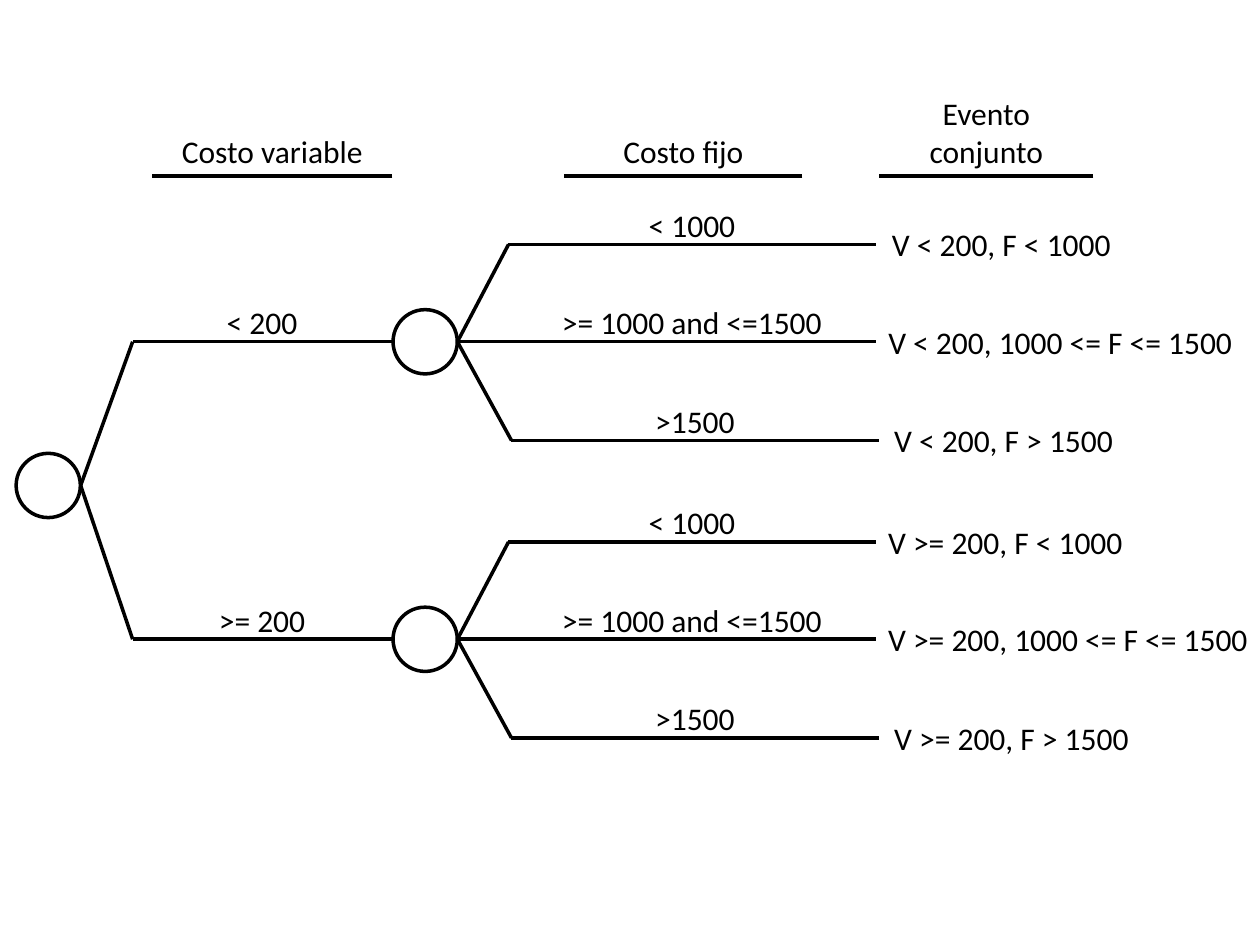
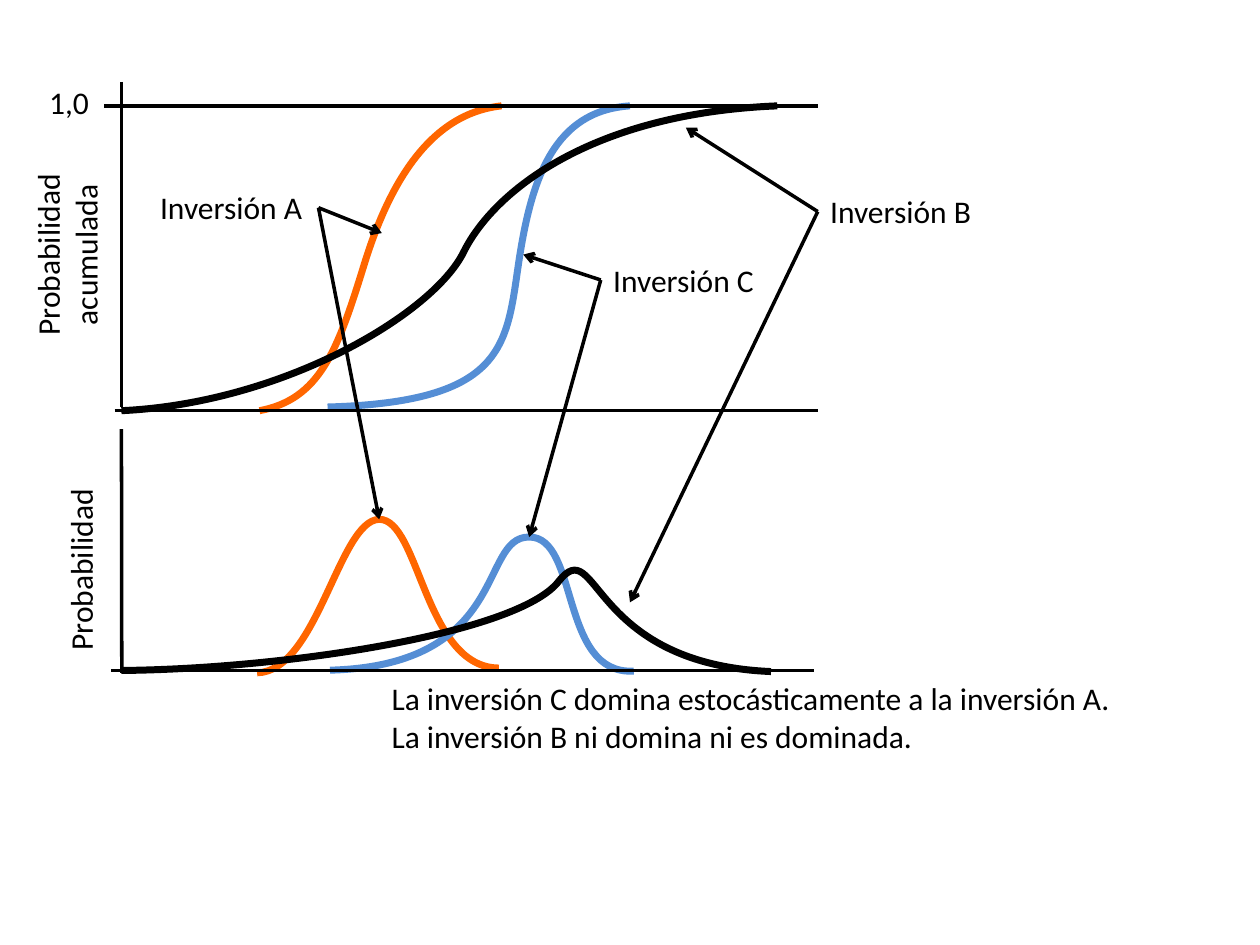
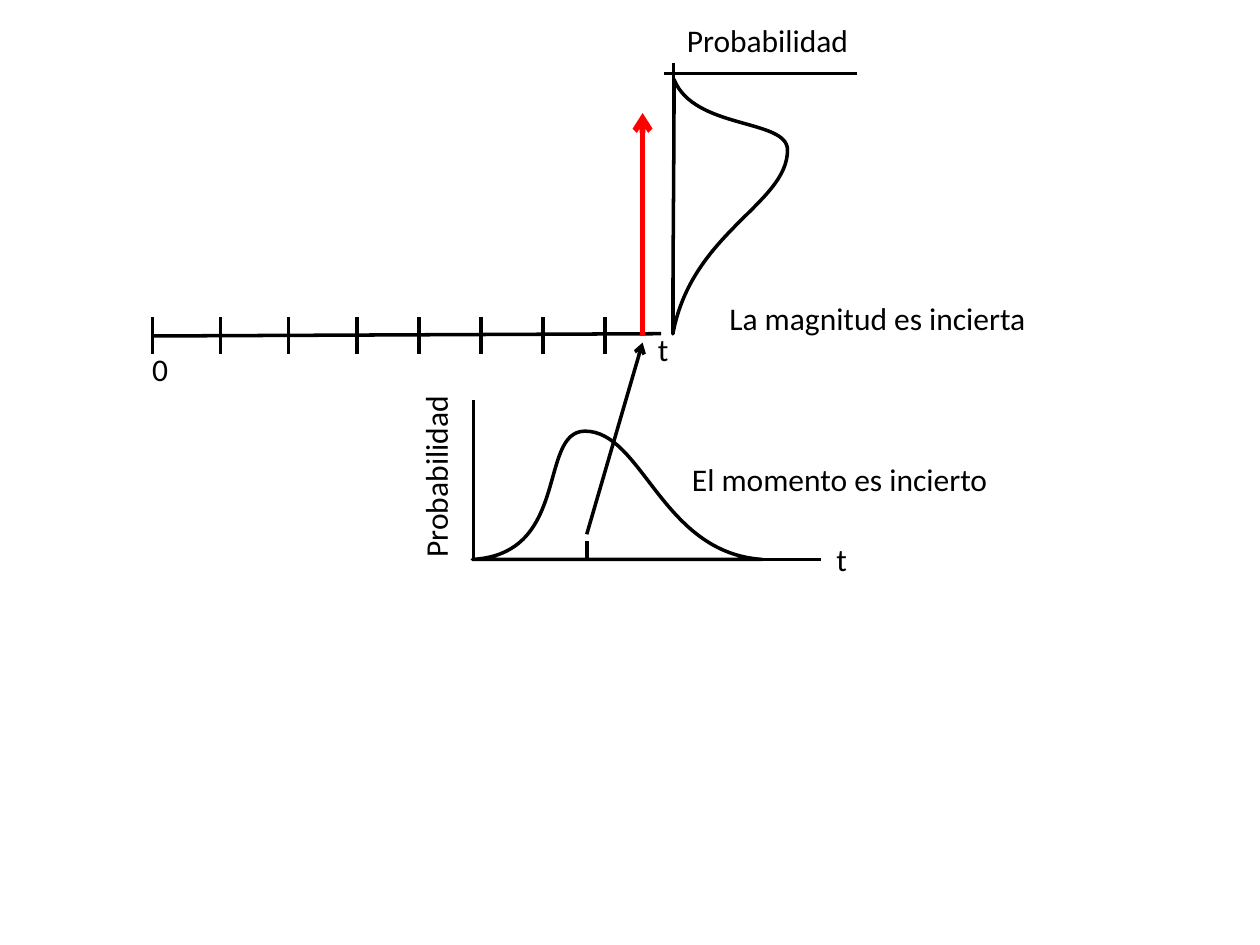
"""Build three slides on probability trees, dominance and uncertain cash flows."""
from lxml.etree import SubElement as Sub
from pptx import Presentation
from pptx.dml.color import RGBColor
from pptx.enum.shapes import MSO_CONNECTOR as Link, MSO_SHAPE as Form
from pptx.enum.text import MSO_AUTO_SIZE as Fit, PP_ALIGN as Align
from pptx.oxml.ns import qn
from pptx.util import Pt

BLACK = RGBColor(0x00, 0x00, 0x00)
ORANGE = RGBColor(0xFF, 0x66, 0x00)
BLUE = RGBColor(0x55, 0x8E, 0xD5)
RED = RGBColor(0xFF, 0x00, 0x00)
FONT = "Calibri"
ROW = 29.1


def add_text(slide, x, y, w, *rows, h=ROW, mid=False, turn=0):
    """Add a text box with one paragraph per row."""
    box = slide.shapes.add_textbox(Pt(x), Pt(y), Pt(w), Pt(h))
    box.rotation = turn
    frame = box.text_frame
    frame.word_wrap = mid and not turn
    frame.auto_size = Fit.SHAPE_TO_FIT_TEXT
    for i, row in enumerate(rows):
        para = frame.add_paragraph() if i else frame.paragraphs[0]
        para.alignment = Align.CENTER if mid else Align.LEFT
        run = para.add_run()
        run.text = row
        run.font.name = FONT
        run.font.size = Pt(18)
        run.font.color.rgb = BLACK


def set_line(line, color, width):
    """Set the colour and width of a line."""
    line.color.rgb = color
    line.width = Pt(width)


def add_line(slide, start, end, color=BLACK, width=2, head=False):
    """Add a straight line, with an arrowhead at its end if wanted."""
    link = slide.shapes.add_connector(Link.STRAIGHT, *map(Pt, start + end))
    set_line(link.line, color, width)
    props = link._element.spPr
    if head:
        Sub(props.find(qn("a:ln")), qn("a:tailEnd"), type="arrow")
    Sub(props, qn("a:effectLst"))


def add_node(slide, x, y, size=36.7):
    """Add a chance node, given its left edge and its middle height."""
    node = slide.shapes.add_shape(
        Form.OVAL, Pt(x), Pt(y - size / 2), Pt(size), Pt(size))
    node.shadow.inherit = False
    node.fill.background()
    set_line(node.line, BLACK, 2)


def add_curve(slide, knots, color=BLACK, width=4, close=False, peak=()):
    """Add joined cubic curves; peak holds a top that is no knot."""
    ends = [tuple(map(Pt, spot)) for spot in [*knots[3::3], *peak]]
    pen = slide.shapes.build_freeform(*map(Pt, knots[0]))
    pen.add_line_segments(ends, close=False)
    shape = pen.convert_to_shape()
    trail = shape._element.spPr.find(".//" + qn("a:path"))
    for leg in trail.findall(qn("a:lnTo")):
        trail.remove(leg)
    for i in range(1, len(knots), 3):
        cubic = Sub(trail, qn("a:cubicBezTo"))
        for x, y in knots[i:i + 3]:
            Sub(cubic, qn("a:pt"), x=str(Pt(x) - shape.left),
                y=str(Pt(y) - shape.top))
    if close:
        Sub(trail, qn("a:close"))
    shape.shadow.inherit = False
    shape.fill.background()
    set_line(shape.line, color, width)


def add_limb(slide, y, cost, joints):
    """Add one cost branch with its node and three leaves."""
    fork = (261.4, y)
    add_text(slide, 75.6, y - 25.6, 148.3, cost, h=51, mid=True)
    add_line(slide, (223.9, y), (75.8, y))
    add_line(slide, (75.8, y), (46.1, 277.4))
    add_node(slide, 224.6, y)
    leaves = [(-55.6, 290.3, "< 1000", "F < 1000"),
              (0, 290.3, ">= 1000 and <=1500", "1000 <= F <= 1500"),
              (56.4, 292, ">1500", "F > 1500")]
    for (rise, x, fixed, event), (left, width) in zip(leaves, joints):
        level = y + rise
        add_text(slide, x, level - 25.6, 210.2, fixed, h=51, mid=True)
        add_text(slide, left, level - 14.5, width, f"V {cost}, {event}")
        add_line(slide, (x + 210.2, level), (x if rise else fork[0], level))
        if rise:
            add_line(slide, (x + 0.3, level), fork)


def draw_tree(slide):
    """Draw the tree of variable and fixed costs."""
    heads = [(86.8, 137.5, 72, ["Costo variable"]),
             (322.4, 136.1, 72, ["Costo fijo"]),
             (502.4, 122.4, 50.4, ["Evento", "conjunto"])]
    for x, w, y, rows in heads:
        add_text(slide, x, y, w, *rows, h=100.8 - y, mid=True)
        add_line(slide, (x + w, 100.7), (x, 100.7))
    add_node(slide, 9.2, 277.4)
    add_limb(slide, 195.3, "< 200",
             [(502.6, 141.1), (500.5, 213.1), (503.9, 141.1)])
    add_limb(slide, 365.3, ">= 200",
             [(500.4, 149.8), (500.4, 222.5), (503.9, 149.8)])


def draw_odds(slide):
    """Draw the cumulative and plain curves of three investments."""
    add_line(slide, (69.4, 46.8), (69.4, 232.6))
    curves = [
        (ORANGE, [(148.3, 234.7), (182.9, 228.2), (193, 200.2),
                  (208.1, 151.2), (223.2, 102.2), (247, 64.8),
                  (286.6, 60.5)], ()),
        (BLUE, [(187.2, 232.6), (290.2, 229.7), (289.4, 196.6),
                (296.6, 149), (303.8, 101.5), (316.8, 63.4),
                (360, 60.5)], ()),
        (BLACK, [(69.4, 234.7), (162, 230.4), (247.7, 179.3),
                 (265, 144), (282.2, 109.4), (337.7, 64.8),
                 (444.2, 60.5)], ()),
        (ORANGE, [(146.9, 384.5), (181.4, 383.8), (193.7, 297.4),
                  (216.7, 296.8), (239.8, 296.6), (242.6, 381.6),
                  (285.1, 381.8)], ()),
        (BLUE, [(188.6, 383), (291.6, 380.2), (273.6, 306.7),
                (302.4, 306.9), (331.2, 306.7), (319.7, 385.9),
                (362.2, 383.5)], ()),
        (BLACK, [(69.4, 383.2), (162.7, 382.3), (295.2, 362.2),
                 (319, 332.6), (342, 303.1), (335.5, 379.4),
                 (440.6, 383.8)], [(328, 325.4)])]
    for color, knots, peak in curves:
        add_curve(slide, knots, color, peak=peak)
    for left, right, y in [(59.6, 467.3, 60.5), (65.5, 467.3, 234.7),
                           (63.4, 465.1, 383.3)]:
        add_line(slide, (left, y), (right, y))
    add_line(slide, (69.4, 245.3), (69.6, 384.5))
    marks = [("A", 84.4, (182, 118.7), (218.2, 133.2), (216.7, 296.8)),
             ("C", 343.3, (343.3, 160), (299, 145.5), (302.4, 306.9)),
             ("B", 467.3, (467.3, 120.9), (391.9, 72.9), (360, 344.2))]
    for name, x, start, *ends in marks:
        add_text(slide, x, start[1] - 14.6, 97.2, f"Inversión {name}")
        for end in ends:
            add_line(slide, start, end, head=True)
    add_text(slide, 21, 43.9, 37.4, "1,0")
    add_text(slide, 216.7, 384.5, 432,
             "La inversión C domina estocásticamente a la inversión A.",
             "La inversión B ni domina ni es dominada.", h=51)
    add_text(slide, -15.8, 120.2, 108, "Probabilidad", "acumulada",
             h=51, mid=True, turn=270)
    add_text(slide, -7.9, 310.3, 108, "Probabilidad", turn=270)


def draw_flow(slide):
    """Draw a cash flow of uncertain size and time."""
    add_line(slide, (87.1, 192), (377.8, 190.7))
    ticks = [87.2 + 38.9 * i for i in range(4)]
    ticks += [239.4 + 35.4 * i for i in range(4)]
    for x in ticks:
        add_line(slide, (x, 181.4), (x, 202.3))
    add_line(slide, (367.2, 192.2), (367.2, 64.6), RED, 3.25, head=True)
    for start, end in [((270.7, 228.4), (270.7, 319.7)),
                       ((270.7, 319.7), (468.9, 319.7)),
                       ((335.3, 319.7), (335.3, 308.9)),
                       ((384.8, 36), (384.8, 190.8)),
                       ((379.7, 42), (489.6, 42))]:
        add_line(slide, start, end)
    add_line(slide, (335.3, 305.3), (367.2, 195.8), head=True)
    time = [(270, 319.7), (326.2, 316.8), (307.4, 247), (334.1, 246.4),
            (367.2, 246.2), (378, 316.1), (435.6, 319.7)]
    size = [(385.2, 45.4), (396.7, 74.2), (450, 67.7), (450, 85.7),
            (450, 116.6), (395.3, 132.5), (384.5, 190.8),
            (384.5, 144), (385.2, 92.2), (385.2, 45.4)]
    for knots in (time, size):
        add_curve(slide, knots, width=2, close=True)
    for x, y, w, words in [(368.8, 185, 20.9, "t"),
                           (470.9, 305.3, 20.9, "t"),
                           (79.9, 196.6, 23.8, "0"),
                           (385.4, 8.6, 108, "Probabilidad"),
                           (388.3, 259.2, 185.8, "El momento es incierto"),
                           (409.7, 167.3, 185.8, "La magnitud es incierta")]:
        add_text(slide, x, y, w, words)
    add_text(slide, 194.9, 257, 108, "Probabilidad", turn=270)


def main():
    """Build and save the deck."""
    deck = Presentation()
    deck.slide_width, deck.slide_height = Pt(720), Pt(540)
    blank = deck.slide_layouts[6]
    for draw in (draw_tree, draw_odds, draw_flow):
        draw(deck.slides.add_slide(blank))
    deck.save("out.pptx")


if __name__ == "__main__":
    main()
